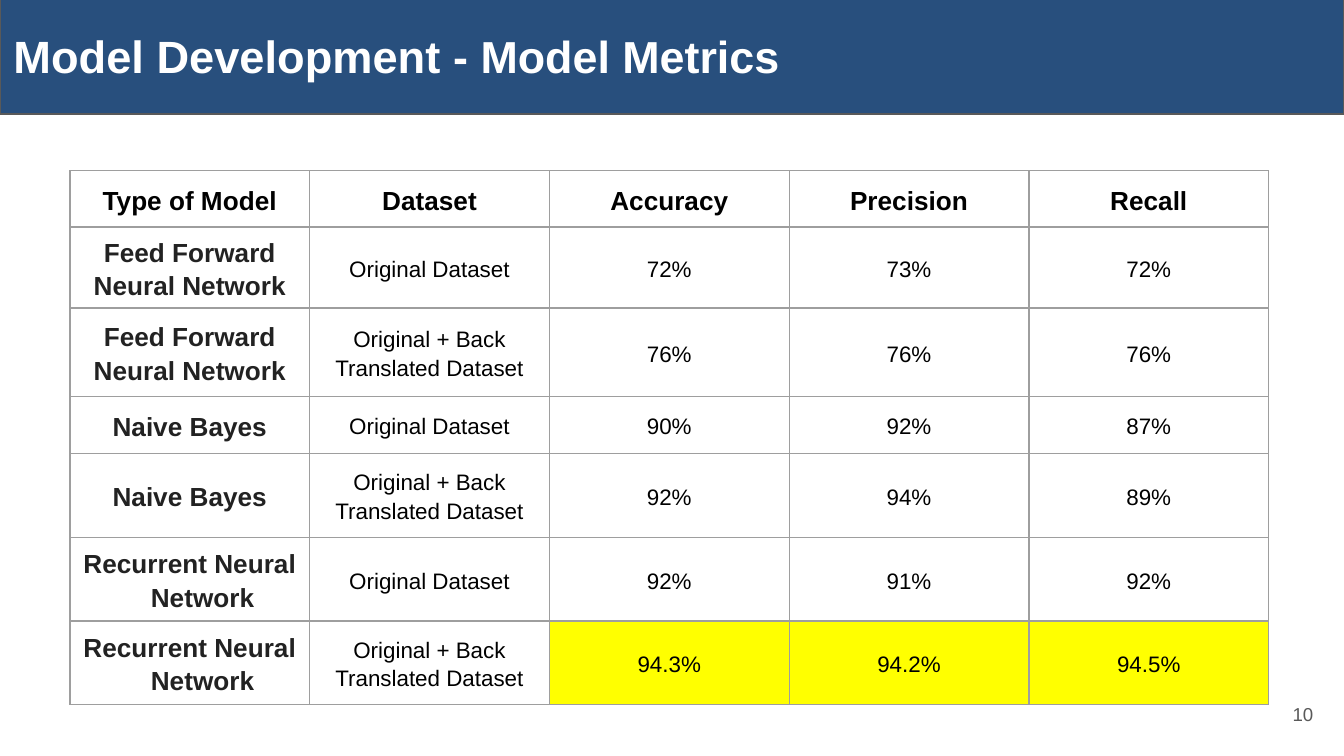
from lxml import etree
from pptx import Presentation
from pptx import util as u
from pptx.dml.color import RGBColor
from pptx.enum import text
from pptx.oxml import ns

WIDTH = u.Inches(10)
HEIGHT = WIDTH * 9 // 16
NAVY = RGBColor(0x28, 0x4F, 0x7D)
WHITE = RGBColor(0xFF, 0xFF, 0xFF)
BLACK = RGBColor(0, 0, 0)
CHARCOAL = RGBColor(0x22, 0x22, 0x22)
GRAY = RGBColor(0x59, 0x59, 0x59)
YELLOW = RGBColor(0xFF, 0xFF, 0)
BORDER = RGBColor(0x9E, 0x9E, 0x9E)

HEADERS = ("Type of Model", "Dataset", "Accuracy", "Precision", "Recall")
ORIGINAL, AUGMENTED = "Original Dataset", "Original + Back Translated Dataset"
FEED_FORWARD, BAYES, RECURRENT = (
    "Feed Forward Neural Network", "Naive Bayes", "Recurrent Neural Network")
RESULTS = (
    (FEED_FORWARD, ORIGINAL, "72%", "73%", "72%"),
    (FEED_FORWARD, AUGMENTED, "76%", "76%", "76%"),
    (BAYES, ORIGINAL, "90%", "92%", "87%"),
    (BAYES, AUGMENTED, "92%", "94%", "89%"),
    (RECURRENT, ORIGINAL, "92%", "91%", "92%"),
    (RECURRENT, AUGMENTED, "94.3%", "94.2%", "94.5%"),
)
TABLE_WIDTH = u.Inches(8.92)
ROW_HEIGHTS = (0.42, 0.57, 0.66, 0.42, 0.62, 0.62, 0.62)
HANGING = u.Inches(0.19)


def write(frame, content, size=12, color=BLACK, bold=False,
          align=text.PP_ALIGN.CENTER, spacing=1.0, hanging=0):
    """Append a formatted span to the first paragraph of a frame."""
    frame.word_wrap = True
    para = frame.paragraphs[0]
    para.alignment = align
    para.line_spacing = spacing
    if hanging:
        properties = para._p.get_or_add_pPr()
        properties.set("marL", str(hanging))
        properties.set("indent", str(-hanging))
    span = para.add_run()
    span.text = content
    font = span.font
    font.name, font.size, font.bold = "Arial", u.Pt(size), bold
    font.color.rgb = color


def set_insets(box, inset):
    """Set equal margins on a cell or a text frame."""
    box.margin_left = box.margin_right = u.Inches(inset)
    box.margin_top = box.margin_bottom = u.Inches(inset)
    box.vertical_anchor = text.MSO_ANCHOR.MIDDLE


def add_borders(cell):
    properties = cell._tc.get_or_add_tcPr()
    for side in ("lnL", "lnR", "lnT", "lnB"):
        line = etree.SubElement(properties, ns.qn(f"a:{side}"), w=str(u.Pt(0.75)))
        fill = etree.SubElement(line, ns.qn("a:solidFill"))
        etree.SubElement(fill, ns.qn("a:srgbClr"), val=str(BORDER))


def format_cell(cell, content, row, column):
    is_label = row == 0 or column == 0
    set_insets(cell, 0.05 if is_label or row > 4 else 0.1)
    write(cell.text_frame, content, size=14 if is_label else 12, bold=is_label,
          color=CHARCOAL if row and column == 0 else BLACK, spacing=1.15,
          hanging=HANGING if content == RECURRENT else 0)
    add_borders(cell)
    if row == len(RESULTS) and column >= 2:
        cell.fill.solid()
        cell.fill.fore_color.rgb = YELLOW
    else:
        cell.fill.background()


def add_metrics_table(page):
    rows = (HEADERS, *RESULTS)
    table = page.shapes.add_table(
        len(rows), len(HEADERS), u.Inches(0.52), u.Inches(1.27),
        TABLE_WIDTH, u.Inches(sum(ROW_HEIGHTS))).table
    table.first_row = table.horz_banding = False
    for row, (height, contents) in enumerate(zip(ROW_HEIGHTS, rows)):
        table.rows[row].height = u.Inches(height)
        for column, content in enumerate(contents):
            format_cell(table.cell(row, column), content, row, column)


def format_title(page, *parts):
    """Style the title as a banner; each part is a text and its size."""
    title = page.shapes.title
    title.left, title.top = 0, u.Inches(-0.03)
    title.width, title.height = WIDTH, u.Inches(0.88)
    title.fill.solid()
    title.fill.fore_color.rgb = NAVY
    title.line.color.rgb = GRAY
    title.line.width = u.Pt(0.75)
    frame = title.text_frame
    frame.auto_size = text.MSO_AUTO_SIZE.NONE
    set_insets(frame, 0.1)
    for content, size in parts:
        write(frame, content, size=size, color=WHITE, bold=True,
              align=text.PP_ALIGN.LEFT)


def add_page_number(page, number):
    box = page.shapes.add_textbox(
        u.Inches(9.27), u.Inches(5.1), u.Inches(0.6), u.Inches(0.43))
    set_insets(box.text_frame, 0.1)
    write(box.text_frame, number, size=10, color=GRAY,
          align=text.PP_ALIGN.RIGHT)


def main():
    deck = Presentation()
    deck.slide_width, deck.slide_height = WIDTH, HEIGHT
    page = deck.slides.add_slide(deck.slide_layouts.get_by_name("Title Only"))
    format_title(page, ("Model Development", 24.2), (" - Model Metrics", 24))
    add_metrics_table(page)
    add_page_number(page, "10")
    deck.save("out.pptx")


if __name__ == "__main__":
    main()
